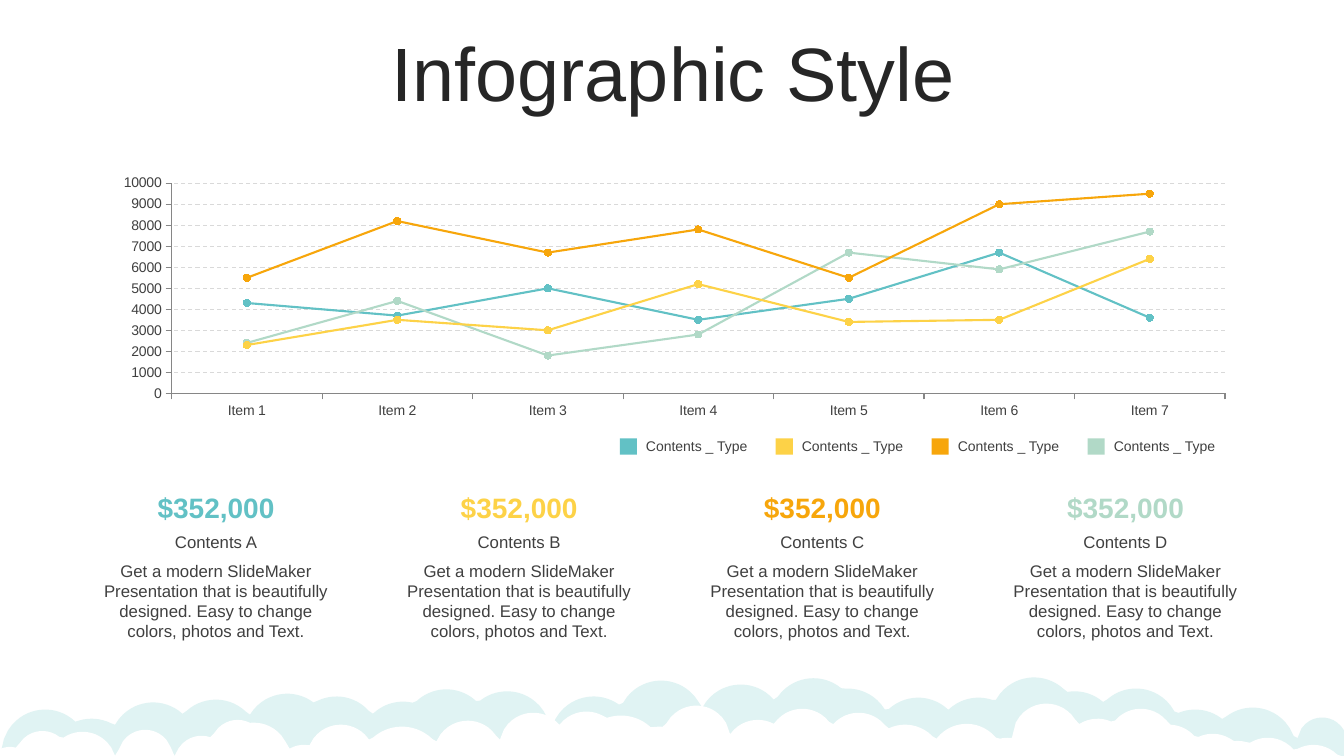
import math
from dataclasses import dataclass
from typing import Any

import pptx
import pptx.chart.data
import pptx.dml.color
import pptx.enum.chart
import pptx.enum.dml
import pptx.enum.shapes
import pptx.enum.text
import pptx.util

Cm = pptx.util.Cm
Pt = pptx.util.Pt
RGBColor = pptx.dml.color.RGBColor
ALIGN = pptx.enum.text.PP_ALIGN
ANCHOR = pptx.enum.text.MSO_ANCHOR

TEAL = RGBColor(0x62, 0xC1, 0xC5)
YELLOW = RGBColor(0xFD, 0xD2, 0x47)
ORANGE = RGBColor(0xF7, 0xA6, 0x0B)
MINT = RGBColor(0xB1, 0xD9, 0xC7)
TITLE_GREY = RGBColor(0x26, 0x26, 0x26)
TEXT_GREY = RGBColor(0x40, 0x40, 0x40)
AXIS_GREY = RGBColor(0x86, 0x86, 0x86)
GRID_GREY = RGBColor(0xD9, 0xD9, 0xD9)
CLOUD_BLUE = RGBColor(0xE0, 0xF3, 0xF3)
WHITE = RGBColor(0xFF, 0xFF, 0xFF)

SLIDE_WIDTH, SLIDE_HEIGHT = 33.87, 19.05
COLUMN_LEFT, COLUMN_STEP, COLUMN_WIDTH = 2.18, 7.64, 6.53
LEGEND_LEFT, LEGEND_STEP = 15.62, 3.93
DESCRIPTION = ("Get a modern SlideMaker Presentation that is beautifully designed. "
               "Easy to change colors, photos and Text.")


@dataclass(frozen=True)
class Puff:
    """One round top of a cloud bank, in centimetres."""
    center: float
    top: float
    radius: float = 0.86

    def height_at(self, x: float) -> float:
        offset = x - self.center
        if abs(offset) >= self.radius:
            return SLIDE_HEIGHT
        return self.top + self.radius - math.sqrt(self.radius ** 2 - offset ** 2)


@dataclass(frozen=True)
class Series:
    name: str
    color: RGBColor
    values: tuple[int, ...]


@dataclass(frozen=True)
class Content:
    label: str
    color: RGBColor
    amount: str = "$352,000"


BACK_TOPS = [
    (1.14, 17.88), (2.31, 18.11), (3.86, 17.7), (5.44, 17.63), (7.24, 17.48),
    (8.48, 17.55), (10.16, 17.68), (11.25, 17.37), (12.78, 17.42), (14.96, 17.55),
    (16.66, 17.15), (18.67, 17.25), (20.5, 17.09), (21.36, 17.35), (23.14, 17.58),
    (24.66, 17.58), (26.06, 17.07), (27.08, 17.42), (28.63, 17.35), (30.12, 17.88),
    (31.57, 17.83),
]
BACK_PUFFS = [Puff(*top, radius=1.1) for top in BACK_TOPS] + [Puff(33.32, 18.08, 0.63)]
FRONT_PUFFS = [
    Puff(0.25, 18.82, 0.6), Puff(1.07, 18.42, 0.69), Puff(2.08, 18.44),
    Puff(3.66, 18.39, 0.69), Puff(5.08, 18.54, 0.69), Puff(5.99, 18.14, 0.69),
    Puff(6.4, 18.21, 0.9), Puff(7.65, 18.77, 0.69), Puff(8.59, 18.26),
    Puff(10.13, 18.31, 1.1), Puff(11.79, 18.16), Puff(13.44, 17.96),
    Puff(14.78, 17.93), Puff(15.65, 18.03, 1.1), Puff(16.61, 18.31),
    Puff(17.55, 17.78), Puff(19.1, 18.14), Puff(20.22, 17.86),
    Puff(21.64, 17.96), Puff(22.81, 18.26, 0.96), Puff(24.36, 18.24, 0.96),
    Puff(25.4, 18.59), Puff(26.37, 17.73), Puff(27.66, 18.11),
    Puff(28.75, 17.86), Puff(29.46, 18.26), Puff(30.56, 18.49),
    Puff(31.19, 18.67), Puff(31.95, 18.59), Puff(33.1, 18.77),
]
SERIES = [
    Series("Series 1", TEAL, (4300, 3700, 5000, 3500, 4500, 6700, 3600)),
    Series("Series 2", MINT, (2400, 4400, 1800, 2800, 6700, 5900, 7700)),
    Series("Series 3", YELLOW, (2300, 3500, 3000, 5200, 3400, 3500, 6400)),
    Series("Series 4", ORANGE, (5500, 8200, 6700, 7800, 5500, 9000, 9500)),
]
CONTENTS = [
    Content("Contents A", TEAL), Content("Contents B", YELLOW),
    Content("Contents C", ORANGE), Content("Contents D", MINT),
]


def set_attributes(target: Any, values: dict[str, Any]) -> None:
    for name, value in values.items():
        setattr(target, name, value)


def set_font(font: Any, size: float, color: RGBColor, bold: bool = False) -> None:
    set_attributes(font, {"name": "Arial", "size": Pt(size), "bold": bold})
    font.color.rgb = color


def paint(shape: Any, color: RGBColor) -> None:
    shape.shadow.inherit = False
    shape.fill.solid()
    shape.fill.fore_color.rgb = color
    shape.line.fill.background()


def add_text(slide: Any, text: str, box: tuple[float, float, float, float], size: float,
             color: RGBColor = TEXT_GREY, bold: bool = False, align: Any = ALIGN.CENTER,
             anchor: Any = ANCHOR.MIDDLE, line_spacing: float = 1.0) -> None:
    frame = slide.shapes.add_textbox(*map(Cm, box)).text_frame
    set_attributes(frame, {"word_wrap": True, "vertical_anchor": anchor})
    paragraph = frame.paragraphs[0]
    set_attributes(paragraph, {"text": text, "alignment": align, "line_spacing": line_spacing})
    set_font(paragraph.runs[0].font, size, color, bold)


def add_cloud_bank(slide: Any, puffs: list[Puff], color: RGBColor) -> None:
    """Draw the upper envelope of the puffs, closed along the slide's bottom edge."""
    step = 0.1
    stops = [index * step for index in range(int(SLIDE_WIDTH / step) + 1)] + [SLIDE_WIDTH]
    outline = [(x, min(puff.height_at(x) for puff in puffs)) for x in stops]
    outline.append((SLIDE_WIDTH, SLIDE_HEIGHT))
    builder = slide.shapes.build_freeform(0, Cm(SLIDE_HEIGHT))
    builder.add_line_segments([(Cm(x), Cm(y)) for x, y in outline], close=True)
    paint(builder.convert_to_shape(), color)


def style_line(line: Any, color: RGBColor, width: float) -> None:
    line.color.rgb = color
    line.width = Pt(width)


def add_line_chart(slide: Any) -> None:
    data = pptx.chart.data.CategoryChartData()
    data.categories = [f"Item {number}" for number in range(1, 8)]
    for series in SERIES:
        data.add_series(series.name, series.values)
    chart = slide.shapes.add_chart(
        pptx.enum.chart.XL_CHART_TYPE.LINE_MARKERS,
        Cm(2.54), Cm(4.29), Cm(28.91), Cm(6.4), data).chart
    set_attributes(chart, {"has_legend": False, "has_title": False})
    set_font(chart.font, 10, TEXT_GREY)
    chart.plots[0].vary_by_categories = False

    for axis in (chart.category_axis, chart.value_axis):
        axis.major_tick_mark = pptx.enum.chart.XL_TICK_MARK.OUTSIDE
        set_font(axis.tick_labels.font, 10, TEXT_GREY)
        style_line(axis.format.line, AXIS_GREY, 0.75)
    chart.category_axis.has_major_gridlines = False
    set_attributes(chart.value_axis, {"minimum_scale": 0, "maximum_scale": 10000,
                                      "major_unit": 1000, "has_major_gridlines": True})
    grid_line = chart.value_axis.major_gridlines.format.line
    style_line(grid_line, GRID_GREY, 0.75)
    grid_line.dash_style = pptx.enum.dml.MSO_LINE.DASH

    for series, plotted in zip(SERIES, chart.plots[0].series):
        plotted.smooth = False
        style_line(plotted.format.line, series.color, 1.5)
        set_attributes(plotted.marker, {
            "style": pptx.enum.chart.XL_MARKER_STYLE.CIRCLE, "size": 5})
        plotted.marker.format.fill.solid()
        plotted.marker.format.fill.fore_color.rgb = series.color
        plotted.marker.format.line.color.rgb = series.color


def add_legend_entry(slide: Any, index: int, color: RGBColor) -> None:
    left = LEGEND_LEFT + index * LEGEND_STEP
    swatch = slide.shapes.add_shape(pptx.enum.shapes.MSO_SHAPE.RECTANGLE,
                                    Cm(left), Cm(11.05), Cm(0.43), Cm(0.41))
    paint(swatch, color)
    add_text(slide, "Contents _ Type", (left + 0.41, 10.9, 3.63, 0.69), 10, align=ALIGN.LEFT)


def add_content_column(slide: Any, index: int, content: Content) -> None:
    left = COLUMN_LEFT + index * COLUMN_STEP
    add_text(slide, content.amount, (left, 12.22, COLUMN_WIDTH, 1.12), 20, content.color, bold=True)
    add_text(slide, content.label, (left, 13.28, COLUMN_WIDTH, 0.76), 12)
    add_text(slide, DESCRIPTION, (left, 14, COLUMN_WIDTH, 2.31), 12, anchor=ANCHOR.TOP)


def main() -> None:
    presentation = pptx.Presentation()
    set_attributes(presentation, {"slide_width": Cm(SLIDE_WIDTH), "slide_height": Cm(SLIDE_HEIGHT)})
    slide = presentation.slides.add_slide(presentation.slide_layouts[6])
    add_cloud_bank(slide, BACK_PUFFS, CLOUD_BLUE)
    add_cloud_bank(slide, FRONT_PUFFS, WHITE)
    add_text(slide, "Infographic Style", (0.89, 0.94, 32.16, 2.01), 54, TITLE_GREY, line_spacing=0.9)
    add_line_chart(slide)
    for index, content in enumerate(CONTENTS):
        add_legend_entry(slide, index, content.color)
        add_content_column(slide, index, content)
    presentation.save("out.pptx")


if __name__ == "__main__":
    main()
